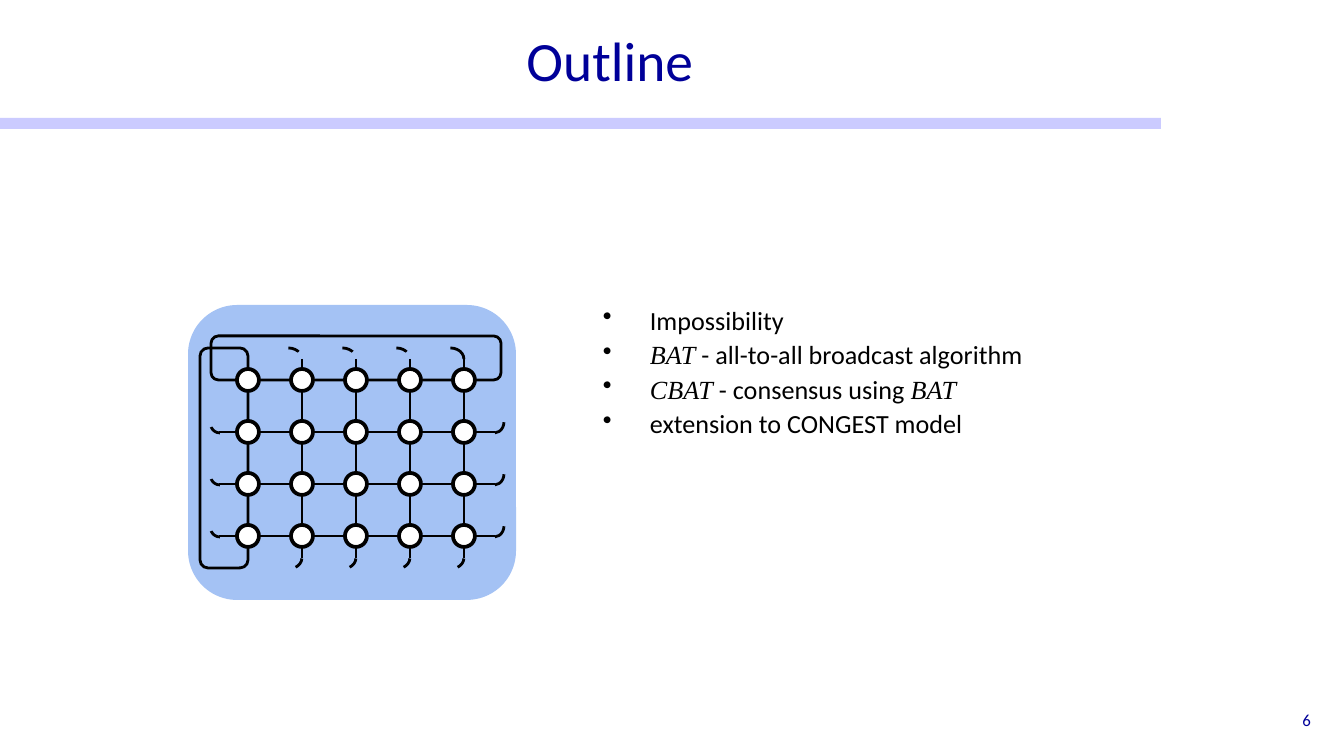
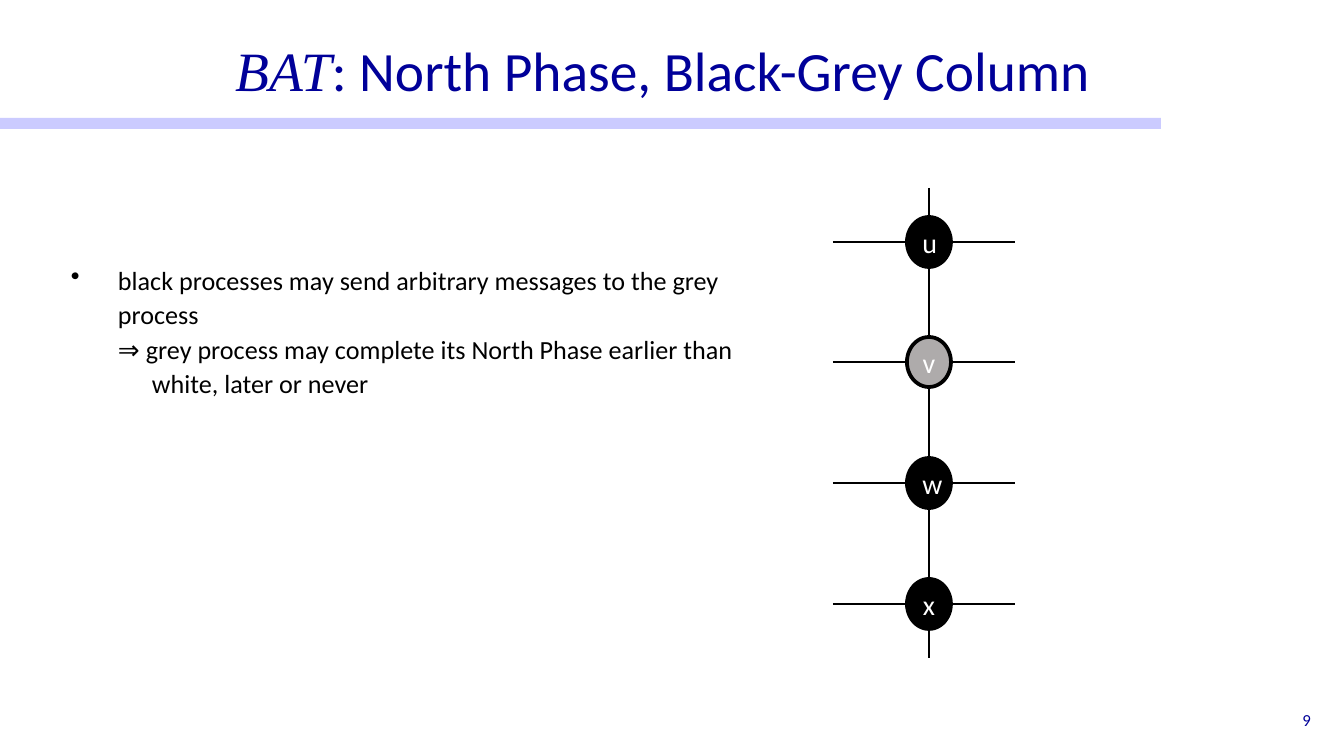
"""Build two lecture slides on consensus in a torus network."""
from dataclasses import dataclass

from lxml import etree
from pptx import Presentation
from pptx import util as u
from pptx.dml.color import RGBColor
from pptx.enum import dml, shapes, text
from pptx.oxml import ns

PX = 9144000 / 1344
KIND = shapes.MSO_SHAPE
ALIGN = text.PP_ALIGN
ANCHOR = text.MSO_ANCHOR
DASH = dml.MSO_LINE


@dataclass(frozen=True)
class Theme:
    """Colours, fonts and type sizes of the deck."""
    navy: str = "000099"
    band: str = "9999FF"
    black: str = "000000"
    white: str = "FFFFFF"
    grey: str = "AEABAB"
    panel: str = "A4C2F4"
    font: str = "Calibri"
    math_font: str = "Times New Roman"
    title: float = 29.7
    body: float = 14
    label: float = 15
    number: float = 9
    link: float = 1.5
    ring: float = 2


T = Theme()


def px(n):
    """Turn pixels into EMU."""
    return u.Emu(round(n * PX))


def rgb(code):
    """Turn a hex code into a colour."""
    return RGBColor.from_string(code)


def add_runs(p, runs, size, color):
    """Write (words, is_math) runs; math is set in italic serif."""
    for words, is_math in runs:
        r = p.add_run()
        r.text = words
        r.font.name = T.math_font if is_math else T.font
        r.font.italic = is_math
        r.font.size = u.Pt(size)
        r.font.color.rgb = rgb(color)


def set_frame(tf, anchor, inset):
    """Set wrapping, anchor and the (side, top) insets of a text frame."""
    tf.word_wrap = True
    tf.vertical_anchor = anchor
    tf.margin_left = tf.margin_right = px(inset[0])
    tf.margin_top = tf.margin_bottom = px(inset[1])


def add_line_of_text(s, box, runs, size, align, anchor, inset=(9, 5), spacing=1.0):
    """Add a navy one-paragraph text box."""
    tf = s.shapes.add_textbox(*map(px, box)).text_frame
    set_frame(tf, anchor, inset)
    p = tf.paragraphs[0]
    p.alignment = align
    p.line_spacing = spacing
    add_runs(p, runs, size, T.navy)


def add_body(s, box, items, inset=(9, 5)):
    """Add paragraphs given as (left, first-line indent, has_bullet, runs)."""
    tf = s.shapes.add_textbox(*map(px, box)).text_frame
    set_frame(tf, ANCHOR.TOP, inset)
    for i, (left, indent, has_bullet, runs) in enumerate(items):
        p = tf.add_paragraph() if i else tf.paragraphs[0]
        p.line_spacing = 1.1
        add_runs(p, runs, T.body, T.black)
        pr = p._p.get_or_add_pPr()
        pr.set("marL", str(px(left)))
        pr.set("indent", str(px(indent)))
        if has_bullet:
            color = etree.SubElement(pr, ns.qn("a:buClr"))
            etree.SubElement(color, ns.qn("a:srgbClr"), val=T.black)
            etree.SubElement(pr, ns.qn("a:buChar"), char="•")


def add_figure(group, kind, box, fill=None, width=None, dash=None, adj=()):
    """Add a preset shape with optional fill, black outline and adjustments."""
    sp = group.add_shape(kind, *map(px, box))
    sp.shadow.inherit = False
    if fill:
        sp.fill.solid()
        sp.fill.fore_color.rgb = rgb(fill)
    else:
        sp.fill.background()
    if width:
        sp.line.color.rgb = rgb(T.black)
        sp.line.width = u.Pt(width)
        if dash:
            sp.line.dash_style = dash
    else:
        sp.line.fill.background()
    for i, value in enumerate(adj):
        sp.adjustments[i] = value
    return sp


def add_node(group, x, y, rx, ry, fill, label=None):
    """Add a ringed process node centred at x, y."""
    sp = add_figure(group, KIND.OVAL, (x - rx, y - ry, 2 * rx, 2 * ry), fill, T.ring)
    if label:
        set_frame(sp.text_frame, ANCHOR.MIDDLE, (9, 5))
        p = sp.text_frame.paragraphs[0]
        p.alignment = ALIGN.CENTER
        add_runs(p, [(label, False)], T.label, T.white)


def add_link(group, x1, y1, x2, y2):
    """Add a straight black link."""
    c = group.add_connector(shapes.MSO_CONNECTOR.STRAIGHT, *map(px, (x1, y1, x2, y2)))
    c.line.color.rgb = rgb(T.black)
    c.line.width = u.Pt(T.link)
    etree.SubElement(c.element.spPr, ns.qn("a:effectLst"))


def gaps(start, centres, radius, end):
    """Return the free spans before, between and after nodes on one axis."""
    return zip([start] + [c + radius for c in centres],
               [c - radius for c in centres] + [end])


def add_row_links(group, y, start, centres, radius, end):
    """Link the nodes of a row and add its outer stubs."""
    for a, b in gaps(start, centres, radius, end):
        add_link(group, a, y, b, y)


def add_column_links(group, x, start, centres, radius, end):
    """Link the nodes of a column and add its outer stubs."""
    for a, b in gaps(start, centres, radius, end):
        add_link(group, x, a, x, b)


def add_torus(s):
    """Draw the 5 by 4 torus with its wrap-around links."""
    group = s.shapes.add_group_shape().shapes
    cols = [248 + 54 * i for i in range(5)]
    rows = [380 + 52 * i for i in range(4)]
    radius = 11
    add_figure(group, KIND.ROUNDED_RECTANGLE, (188, 305, 328, 295), T.panel)
    for loop in ((211, 336, 290, 44), (200, 348, 48, 220)):
        add_figure(group, KIND.ROUNDED_RECTANGLE, loop, width=T.link)
    for y in rows:
        add_row_links(group, y, 219, cols, radius, 495)
        for x in cols:
            add_node(group, x, y, radius, radius, T.white)
    for x in cols:
        add_column_links(group, x, 359, rows, radius, 558)

    def add_arc(x, y, w, dash, adj):
        add_figure(group, KIND.ARC, (x, y, w, 22), width=T.link, dash=dash, adj=adj)

    for x in cols[1:]:
        top_dash = DASH.LONG_DASH if x == cols[-1] else DASH.DASH
        add_arc(x - 27, 348, 27, top_dash, (161.59, 0.61))
        add_arc(x - 27, 547, 27, DASH.DASH, (1.35, 53.01))
    for y in rows[1:]:
        add_arc(210, y - 21, 19, DASH.DASH, (52.53, 107.04))
        add_arc(485, y - 21, 19, DASH.LONG_DASH, (1.23, 52.71))


def add_process_column(s):
    """Draw the column of black and grey processes."""
    group = s.shapes.add_group_shape().shapes
    x, rx, ry = 929, 22, 25
    rows = [242, 362, 483, 604]
    add_column_links(group, x, 188, rows, ry, 658)
    for y, label in zip(rows, "uvwx"):
        add_row_links(group, y, 833, [x], rx, 1015)
        add_node(group, x, y, rx, ry, T.grey if label == "v" else T.black, label)


def add_slide(prs, number):
    """Add a blank slide with the shared band and page number."""
    s = prs.slides.add_slide(prs.slide_layouts[6])
    band = add_figure(s.shapes, KIND.RECTANGLE, (0, 118, 1161, 11), T.band)
    color = band.element.spPr.find(".//" + ns.qn("a:srgbClr"))
    etree.SubElement(color, ns.qn("a:alpha"), val="50000")
    add_line_of_text(s, (1017, 700, 303, 40), [(number, False)], T.number,
                     ALIGN.RIGHT, ANCHOR.MIDDLE)
    return s


def main():
    """Build and save the deck."""
    prs = Presentation()
    prs.slide_width, prs.slide_height = px(1344), px(756)

    s = add_slide(prs, "6")
    add_line_of_text(s, (67, 46, 1086, 54), [("Outline", False)], T.title,
                     ALIGN.CENTER, ANCHOR.BOTTOM, (13, 7), 1.1)
    topics = [
        [("Impossibility", False)],
        [("BAT", True), (" - all-to-all broadcast algorithm", False)],
        [("CBAT", True), (" - consensus using ", False), ("BAT", True)],
        [("extension to CONGEST model", False)],
    ]
    add_body(s, (503, 294, 650, 295), [(134, -47, True, t) for t in topics], (13, 7))
    add_torus(s)

    s = add_slide(prs, "9")
    add_process_column(s)
    add_line_of_text(s, (208, 17, 910, 112),
                     [("BAT", True), (": North Phase, Black-Grey Column", False)],
                     T.title, ALIGN.CENTER, ANCHOR.MIDDLE, spacing=0.9)
    add_body(s, (42, 256, 714, 392), [
        (67, -47, True,
         [("black processes may send arbitrary messages to the grey process", False)]),
        (101, -34, False,
         [("⇒ grey process may complete its North Phase earlier than "
           "white, later or never", False)]),
    ])
    prs.save("out.pptx")


if __name__ == "__main__":
    main()
